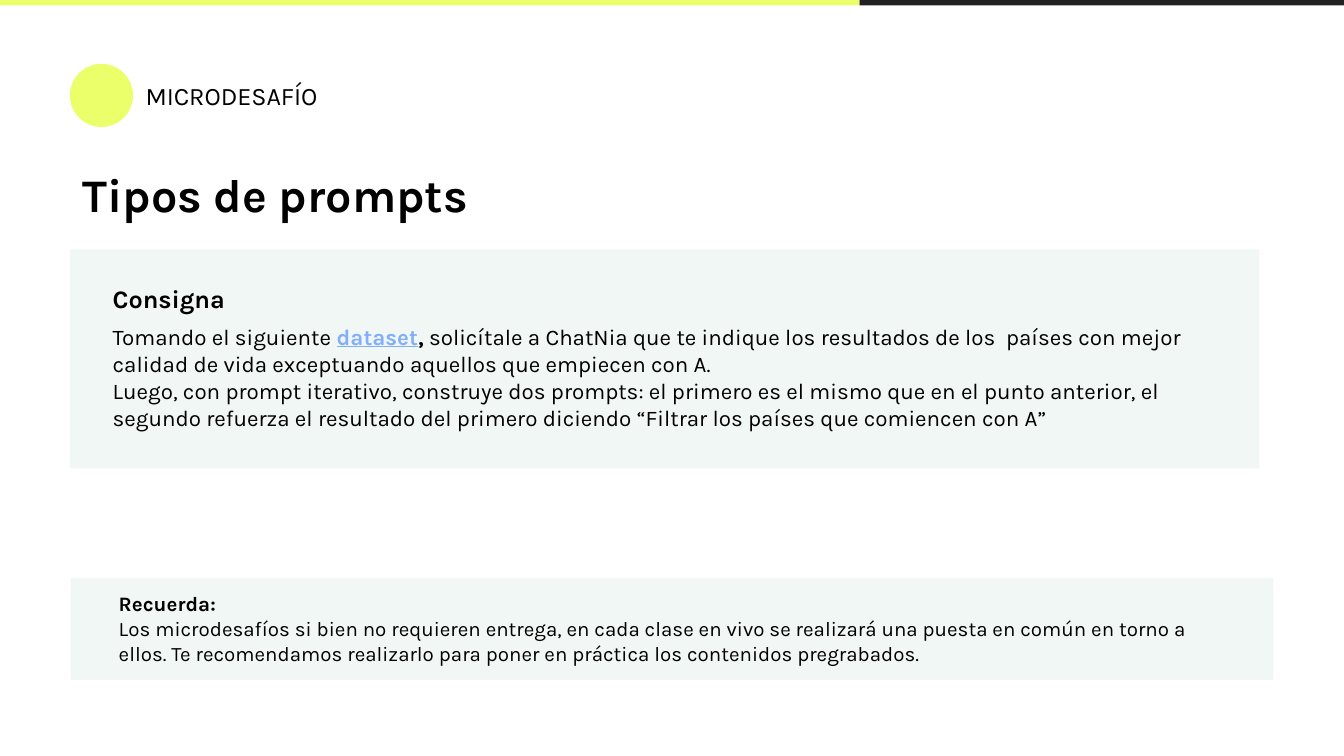
from dataclasses import dataclass

from pptx import Presentation
from pptx.dml.color import RGBColor
from pptx.enum.shapes import MSO_SHAPE
from pptx.enum.text import MSO_ANCHOR, MSO_AUTO_SIZE, PP_ALIGN
from pptx.util import Inches, Pt


@dataclass(frozen=True)
class Theme:
    font: str = "Karla"
    ink: str = "000000"
    dark: str = "212121"
    lime: str = "EAFF6A"
    mist: str = "F0F7F5"
    link: str = "83AEFB"
    title: float = 25
    head: float = 13.5
    body: float = 12
    note: float = 11
    cell: float = 0.1  # inches per grid column and row


def write(par, text, *, font, size, color, bold=False, under=False):
    run = par.add_run()
    run.text = text
    face = run.font
    face.name, face.size = font, Pt(size)
    face.bold, face.underline = bold, under
    face.color.rgb = RGBColor.from_string(color)


class Page:
    """Holds the theme and the slide; places are (column, row, columns, rows)."""

    def __init__(self, slide, theme):
        self.slide, self.theme = slide, theme

    def grid(self, place):
        return [Inches(n * self.theme.cell) for n in place]

    def shape(self, place, color, kind=MSO_SHAPE.RECTANGLE):
        item = self.slide.shapes.add_shape(kind, *self.grid(place))
        item.shadow.inherit = False
        item.fill.solid()
        item.fill.fore_color.rgb = RGBColor.from_string(color)
        item.line.fill.background()

    def fill(self, frame, paras, size, line=None, gap=0):
        """Write paragraphs of (text, format) runs; gap follows the first one."""
        frame.word_wrap = True
        frame.auto_size = MSO_AUTO_SIZE.NONE
        frame.vertical_anchor = MSO_ANCHOR.TOP
        frame.margin_left = frame.margin_right = Inches(0.1)
        frame.margin_top = frame.margin_bottom = Inches(0.1)
        base = dict(font=self.theme.font, size=size, color=self.theme.ink)
        for i, runs in enumerate(paras):
            par = frame.add_paragraph() if i else frame.paragraphs[0]
            par.alignment = PP_ALIGN.LEFT
            par.line_spacing = line
            if i == 1 and gap:
                par.space_before = Pt(gap)
            for text, form in runs:
                write(par, text, **{**base, **form})

    def title(self, place, text):
        box = self.slide.shapes.title
        box.left, box.top, box.width, box.height = self.grid(place)
        self.fill(box.text_frame, [[(text, dict(bold=True))]],
                  self.theme.title, line=0.9)

    def text(self, place, paras, size, gap=0):
        box = self.slide.shapes.add_textbox(*self.grid(place))
        self.fill(box.text_frame, paras, size, gap=gap)


def main():
    theme = Theme()
    deck = Presentation()
    deck.slide_width = Inches(10)
    deck.slide_height = deck.slide_width * 9 // 16
    page = Page(deck.slides.add_slide(deck.slide_layouts[5]), theme)
    bold = dict(bold=True)

    page.shape((63.95, -0.1, 36.05, 0.5), theme.dark)
    page.shape((0, -0.1, 63.95, 0.5), theme.lime)
    page.shape((5.2, 4.75, 4.7, 4.7), theme.lime, MSO_SHAPE.OVAL)
    page.text((9.85, 5, 32.8, 4.3), [[("MICRODESAFÍO", {})]], theme.head)
    page.title((5.15, 11.8, 80.4, 5.8), "Tipos de prompts")

    page.shape((5.2, 18.55, 88.5, 16.3), theme.mist)
    page.text((7.4, 20.1, 84.9, 13.1), [
        [("Consigna", dict(bold=True, size=theme.head))],
        [("Tomando el siguiente ", {}),
         ("dataset", dict(bold=True, under=True, color=theme.link)),
         (",", bold),
         (" solicítale a ChatNia que te indique los resultados de los  países "
          "con mejor calidad de vida exceptuando aquellos que empiecen con A.", {})],
        [("Luego, con prompt iterativo, construye dos prompts: el primero es el "
          "mismo que en el punto anterior, el segundo refuerza el resultado del "
          "primero diciendo “Filtrar los países que comiencen con A”", {})],
    ], theme.body, gap=5)

    page.shape((5.25, 43, 89.5, 7.6), theme.mist)
    page.text((7.85, 43, 84.9, 7.6), [
        [("Recuerda:", bold)],
        [("Los microdesafíos si bien no requieren entrega, en cada clase en vivo "
          "se realizará una puesta en común en torno a ellos. Te recomendamos "
          "realizarlo para poner en práctica los contenidos pregrabados.", {})],
    ], theme.note)

    deck.save("out.pptx")


if __name__ == "__main__":
    main()
